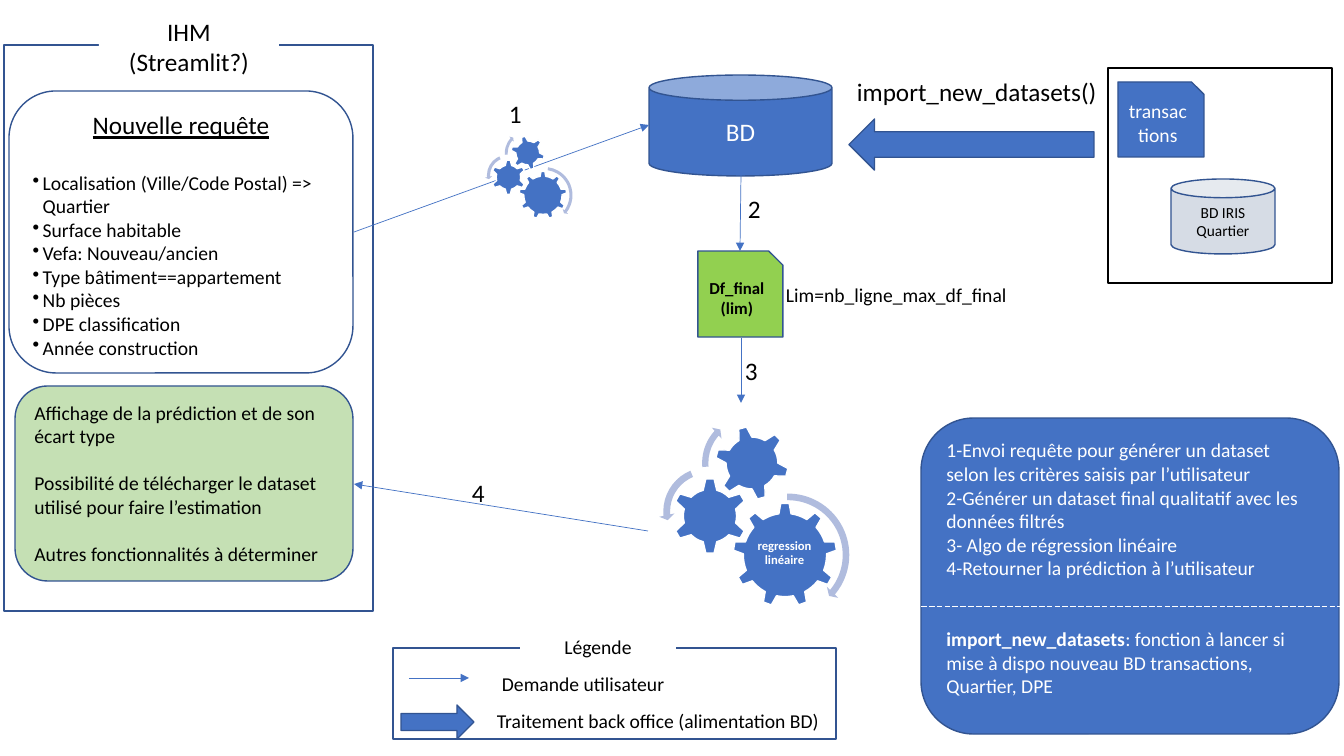
from lxml import etree
from pptx import Presentation
from pptx import util as u
from pptx.dml import color
from pptx.enum import dml, shapes, text
from pptx.oxml import ns

PX = 914400 / 100.8
FONT = "Calibri"
BLUE, NAVY, PALE, WHITE, BLACK = "4472C4", "325491", "B0BCDE", "FFFFFF", "000000"
GREEN, MINT, GREY = "92D050", "C5E0B4", "D6DCE5"
KIND = shapes.MSO_SHAPE
TOP, MIDDLE = text.MSO_ANCHOR.TOP, text.MSO_ANCHOR.MIDDLE

# Each paragraph: its (text, font changes) runs, then its paragraph options.
CRITERIA = ["Localisation (Ville/Code Postal) => Quartier", "Surface habitable",
            "Vefa: Nouveau/ancien", "Type bâtiment==appartement", "Nb pièces",
            "DPE classification", "Année construction"]
REQUEST = [([("Nouvelle requête", {"size": 18, "underline": True})],
            {"center": True, "after": 22})]
REQUEST += [([(item, {})], {"bullet": True}) for item in CRITERIA]
STEPS = ["1-Envoi requête pour générer un dataset selon les critères saisis par l’utilisateur",
         "2-Générer un dataset final qualitatif avec les données filtrés",
         "3- Algo de régression linéaire"]
NOTES = [([(step, {})], {}) for step in STEPS] + [
    ([("4-Retourner la prédiction à l’utilisateur", {})], {"after": 34}),
    ([("import_new_datasets", {"bold": True}),
      (": fonction à lancer si mise à dispo nouveau BD transactions, Quartier, DPE", {})], {})]
RESULTS = [([(line, {})], {"after": 17}) for line in (
    "Affichage de la prédiction et de son écart type",
    "Possibilité de télécharger le dataset utilisé pour faire l’estimation")]
RESULTS += [([("Autres fonctionnalités à déterminer", {})], {})]


def centered(*lines, **font):
    """Return centred paragraphs, one for each line."""
    return [([(line, font)], {"center": True}) for line in lines]


def plain(line):
    """Return one left-aligned paragraph."""
    return [([(line, {})], {})]


# preset, (left, top, width, height), fill, outline, paragraphs, size, text colour, anchor
BOXES = [
    (KIND.ROUNDED_RECTANGLE, (9, 91, 344, 282), WHITE, NAVY, REQUEST, 14, BLACK, TOP),
    (KIND.ROUNDED_RECTANGLE, (921, 418, 418, 316), BLUE, NAVY, NOTES, 14, WHITE, TOP),
    (KIND.CAN, (649, 75, 183, 101), BLUE, NAVY, centered("BD"), 18, WHITE, MIDDLE),
    (KIND.SNIP_1_RECTANGLE, (1118, 82, 86, 75), BLUE, NAVY,
     centered("transactions"), 14, WHITE, MIDDLE),
    (KIND.ROUNDED_RECTANGLE, (15, 386, 338, 195), MINT, NAVY, RESULTS, 14, BLACK, TOP),
    (KIND.SNIP_1_RECTANGLE, (698, 251, 85, 86), GREEN, NAVY,
     centered("Df_final(lim)", bold=True), 12, BLACK, MIDDLE),
    (KIND.RECTANGLE, (393, 648, 443, 91), None, NAVY, [], 14, BLACK, TOP),
    (KIND.RECTANGLE, (521, 630, 154, 40), WHITE, WHITE, centered("Légende"), 14, BLACK, TOP),
    (KIND.RECTANGLE, (492, 671, 198, 26), WHITE, WHITE,
     plain("Demande utilisateur"), 14, BLACK, MIDDLE),
    (KIND.RECTANGLE, (1108, 68, 224, 215), None, BLACK, [], 14, BLACK, TOP),
    (KIND.CAN, (1171, 179, 104, 75), GREY, NAVY,
     centered("BD IRIS", "Quartier"), 11, BLACK, MIDDLE),
    (KIND.RECTANGLE, (4, 45, 369, 566), None, NAVY, [], 14, BLACK, TOP),
    (KIND.RECTANGLE, (99, 11, 180, 72), WHITE, None,
     centered("IHM (Streamlit?)"), 18, BLACK, TOP)]
BLOCK_ARROWS = [((849, 119, 245, 51), 180), ((401, 705, 73, 34), 0)]
FLOWS = [(354, 232, 649, 125), (741, 175, 740, 251), (741, 338, 741, 403),
         (648, 531, 354, 484), (409, 678, 469, 678)]
DIVIDER = (921, 606, 1344, 606)
LABELS = [("Lim=nb_ligne_max_df_final", (776, 278, 245, 34), 14),
          ("import_new_datasets()", (847, 71, 266, 40), 18),
          ("Traitement back office (alimentation BD)", (487, 704, 367, 34), 14)]
STEP_NUMBERS = [("1", 499, 93), ("2", 738, 188), ("3", 735, 350), ("4", 462, 472)]

# preset, left, top, side, rotation: offsets inside the large gear train
GEARS = [(KIND.GEAR_9, 74, 92, 104, 0), (KIND.GEAR_6, 13, 67, 76, 0),
         (KIND.GEAR_6, 56, 15, 74, 345)]
# preset, left, top, side, adjustments
SWIRLS = [(KIND.CIRCULAR_ARROW, 63, 78, 132, (0.05, 2.99, None, None, 0.06)),
          (KIND.LEFT_CIRCULAR_ARROW, 0, 52, 97, (0.07, 4.3, 104.89, 148.38, 0.08)),
          (KIND.CIRCULAR_ARROW, 39, 0, 104, (0.06, 3.94, 133.14, 105.08, 0.07))]
# left, top, scale, angles of the largest swirl
TRAINS = [(659, 411, 1, (23.95, 161.53)), (485, 129, 0.46, (22.48, 166.68))]


def emu(*pixels):
    """Turn pixels into EMU."""
    return [u.Emu(round(value * PX)) for value in pixels]


def rgb(code):
    """Turn a hex string into a colour."""
    return color.RGBColor.from_string(code)


def add_box(parent, preset, at, fill, outline):
    """Add a preset shape with a flat fill and a one-point outline."""
    box = parent.shapes.add_shape(preset, *emu(*at))
    box.shadow.inherit = False
    if fill:
        box.fill.solid()
        box.fill.fore_color.rgb = rgb(fill)
    else:
        box.fill.background()
    if outline:
        box.line.color.rgb = rgb(outline)
        box.line.width = u.Pt(1)
    else:
        box.line.fill.background()
    return box


def add_bullet(para):
    """Give a paragraph a hanging bullet."""
    props = para._p.get_or_add_pPr()
    props.set("marL", "91440")
    props.set("indent", "-91440")
    etree.SubElement(props, ns.qn("a:buChar")).set("char", "•")


def write(box, paras, size, ink, anchor=TOP, wrap=True):
    """Fill a shape with paragraphs, run by run."""
    frame = box.text_frame
    frame.word_wrap = wrap
    frame.vertical_anchor = anchor
    for index, (runs, options) in enumerate(paras):
        para = frame.add_paragraph() if index else frame.paragraphs[0]
        para.alignment = text.PP_ALIGN.CENTER if options.get("center") else text.PP_ALIGN.LEFT
        para.space_after = u.Pt(options.get("after", 0))
        if options.get("bullet"):
            add_bullet(para)
        for words, changes in runs:
            span = para.add_run()
            span.text = words
            span.font.name = FONT
            span.font.size = u.Pt(changes.get("size", size))
            span.font.bold = changes.get("bold", False)
            span.font.underline = changes.get("underline", False)
            span.font.color.rgb = rgb(ink)
    return frame


def add_line(page, ends, ink):
    """Add a thin straight connector without shadow."""
    line = page.shapes.add_connector(shapes.MSO_CONNECTOR.STRAIGHT, *emu(*ends))
    line.line.color.rgb = rgb(ink)
    line.line.width = u.Pt(0.5)
    etree.SubElement(line._element.spPr, ns.qn("a:effectLst"))
    return line


def add_flow(page, ends):
    """Add a connector with an arrowhead at its end."""
    line = add_line(page, ends, BLUE)
    etree.SubElement(line.line._get_or_add_ln(), ns.qn("a:tailEnd")).set("type", "triangle")


def add_train(page, left, top, scale, angles):
    """Add three gears and their swirling arrows as one group."""
    group = page.shapes.add_group_shape()

    def place(dx, dy, side):
        return left + dx * scale, top + dy * scale, side * scale, side * scale

    for preset, dx, dy, side, turn in GEARS:
        gear = add_box(group, preset, place(dx, dy, side), BLUE, WHITE)
        gear.rotation = turn
    for preset, dx, dy, side, bends in SWIRLS:
        swirl = add_box(group, preset, place(dx, dy, side), PALE, None)
        if bends[2] is None:
            bends = bends[:2] + angles + bends[4:]
        for index, bend in enumerate(bends):
            swirl.adjustments[index] = bend


deck = Presentation()
deck.slide_width, deck.slide_height = emu(1344, 756)
page = deck.slides.add_slide(deck.slide_layouts[6])

for preset, at, fill, outline, paras, size, ink, anchor in BOXES:
    write(add_box(page, preset, at, fill, outline), paras, size, ink, anchor)
for at, turn in BLOCK_ARROWS:
    add_box(page, KIND.RIGHT_ARROW, at, BLUE, NAVY).rotation = turn
for ends in FLOWS:
    add_flow(page, ends)
add_line(page, DIVIDER, WHITE).line.dash_style = dml.MSO_LINE.LONG_DASH
for words, at, size in LABELS:
    write(page.shapes.add_textbox(*emu(*at)), plain(words), size, BLACK)
for number, left, top in STEP_NUMBERS:
    write(page.shapes.add_textbox(*emu(left, top, 33, 40)), plain(number), 18, BLACK, wrap=False)
for train in TRAINS:
    add_train(page, *train)

gear_label = page.shapes.add_textbox(*emu(754, 527, 61, 53))
frame = write(gear_label, centered("regression linéaire", bold=True), 9, WHITE, MIDDLE)
frame.margin_left = frame.margin_right = frame.margin_top = frame.margin_bottom = emu(1)[0]
frame.paragraphs[0].line_spacing = 0.9

deck.save("out.pptx")
